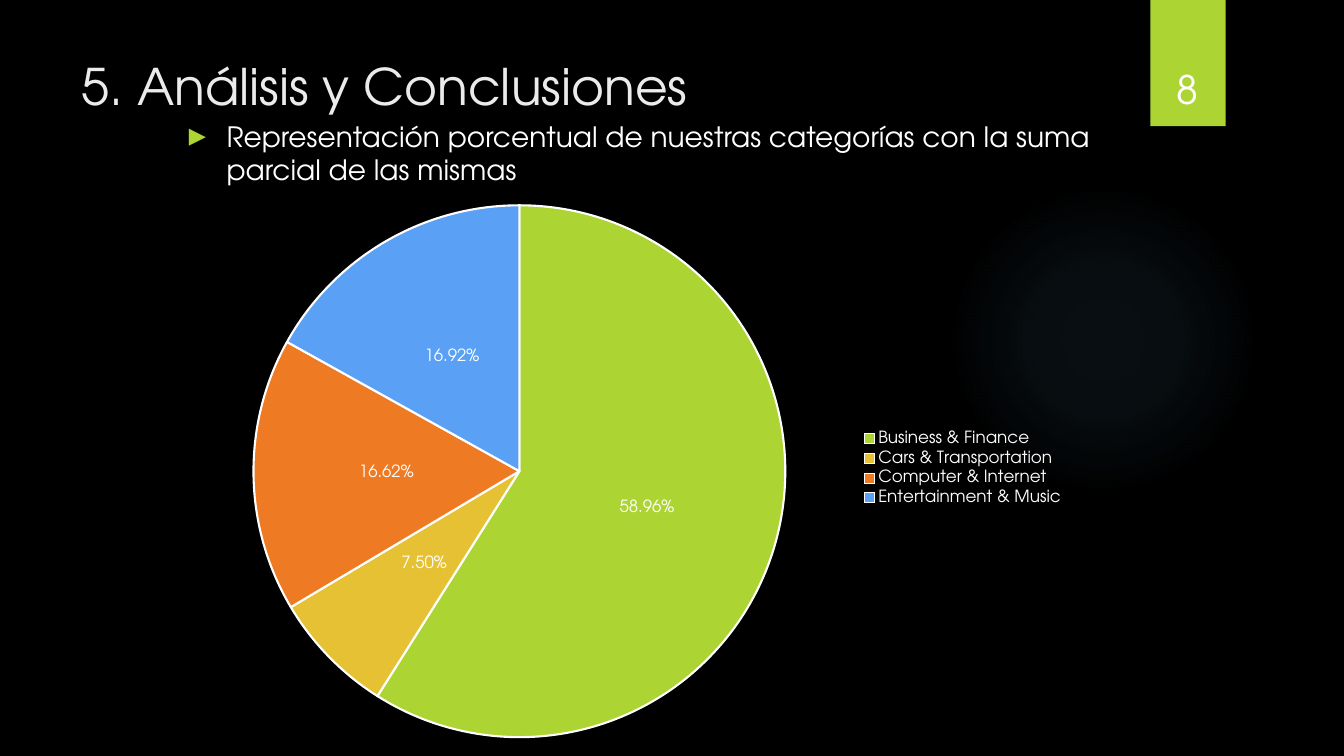
from lxml import etree
from pptx import Presentation
from pptx.chart.data import CategoryChartData
from pptx.dml.color import RGBColor
from pptx.enum.chart import XL_CHART_TYPE, XL_LABEL_POSITION, XL_LEGEND_POSITION
from pptx.enum.shapes import MSO_SHAPE
from pptx.enum.text import MSO_ANCHOR, PP_ALIGN
from pptx.oxml import parse_xml
from pptx.oxml.ns import nsdecls, qn
from pptx.util import Cm, Pt

FONT = "TeX Gyre Adventor"
COLORS = {
    "background": "000000", "title": "EBEBEB", "white": "FFFFFF", "glow": "7AC4F0",
    "green": "ACD433", "yellow": "E6C133", "orange": "EF7A24", "blue": "5AA0F5",
}
CATEGORIES = [
    ("Business & Finance", 0.5896, "green"),
    ("Cars & Transportation", 0.075, "yellow"),
    ("Computer & Internet", 0.1662, "orange"),
    ("Entertainment & Music", 0.1692, "blue"),
]


def rgb(name):
    return RGBColor.from_string(COLORS[name])


def set_font(font, size, color):
    font.name = FONT
    font.size = Pt(size)
    font.color.rgb = rgb(color)


def add_block(s, shape, box, color):
    sp = s.shapes.add_shape(shape, *map(Cm, box))
    sp.shadow.inherit = False
    sp.line.fill.background()
    sp.fill.solid()
    sp.fill.fore_color.rgb = rgb(color)
    return sp


def add_glow(s, box):
    sp = add_block(s, MSO_SHAPE.OVAL, box, "glow")
    stops = "".join(
        f'<a:gs pos="{pos * 1000}"><a:srgbClr val="{COLORS["glow"]}">'
        f'<a:alpha val="{alpha * 1000}"/></a:srgbClr></a:gs>'
        for pos, alpha in ((0, 7), (36, 6), (69, 0)))
    gradient = parse_xml(
        f'<a:gradFill {nsdecls("a")} rotWithShape="1"><a:gsLst>{stops}</a:gsLst>'
        '<a:path path="circle"><a:fillToRect l="50000" t="50000" r="50000" b="50000"/>'
        '</a:path></a:gradFill>')
    props = sp.fill._xPr
    props.replace(props.find(qn("a:solidFill")), gradient)


def add_text(s, box, text, size, color, anchor=MSO_ANCHOR.TOP, align=PP_ALIGN.LEFT):
    tf = s.shapes.add_textbox(*map(Cm, box)).text_frame
    tf.word_wrap = True
    tf.vertical_anchor = anchor
    p = tf.paragraphs[0]
    p.alignment = align
    r = p.add_run()
    r.text = text
    set_font(r.font, size, color)
    return p


def add_bullet(p, color):
    props = p._p.get_or_add_pPr()
    props.set("marL", str(Cm(0.95)))
    props.set("indent", str(Cm(-0.95)))
    bullet_color = etree.SubElement(props, qn("a:buClr"))
    etree.SubElement(bullet_color, qn("a:srgbClr"), val=COLORS[color])
    etree.SubElement(props, qn("a:buSzPct"), val="80000")
    etree.SubElement(props, qn("a:buFont"), typeface="DejaVu Sans")
    etree.SubElement(props, qn("a:buChar"), char="▶")


def add_pie(s, box):
    data = CategoryChartData(number_format="0.00%")
    data.categories = [name for name, _, _ in CATEGORIES]
    data.add_series("Series 1", [value for _, value, _ in CATEGORIES])
    chart = s.shapes.add_chart(XL_CHART_TYPE.PIE, *map(Cm, box), data).chart
    chart.has_title = False
    set_font(chart.font, 10, "white")

    # Legend
    chart.has_legend = True
    chart.legend.position = XL_LEGEND_POSITION.RIGHT
    chart.legend.include_in_layout = False
    set_font(chart.legend.font, 12, "white")

    # Slices
    plot = chart.plots[0]
    plot.vary_by_categories = True
    for i, (_, _, color) in enumerate(CATEGORIES):
        slice_format = plot.series[0].points[i].format
        slice_format.fill.solid()
        slice_format.fill.fore_color.rgb = rgb(color)
        slice_format.line.color.rgb = rgb("white")
        slice_format.line.width = Pt(1.5)

    # Value labels
    plot.has_data_labels = True
    labels = plot.data_labels
    labels.show_value = True
    labels.show_percentage = False
    labels.number_format = "0.00%"
    labels.number_format_is_linked = False
    labels.position = XL_LABEL_POSITION.CENTER
    set_font(labels.font, 12, "white")

    # Plot area, as fractions of the chart
    layout = parse_xml(
        f'<c:layout {nsdecls("c")}><c:manualLayout><c:layoutTarget val="inner"/>'
        '<c:xMode val="edge"/><c:yMode val="edge"/><c:x val="0.08"/><c:y val="0.06"/>'
        '<c:w val="0.6"/><c:h val="0.89"/></c:manualLayout></c:layout>')
    area = chart._chartSpace.chart.plotArea
    for old in area.findall(qn("c:layout")):
        area.remove(old)
    area.insert(0, layout)


def main():
    prs = Presentation()
    prs.slide_width, prs.slide_height = Cm(33.87), Cm(19.05)
    s = prs.slides.add_slide(prs.slide_layouts[6])

    # Background and decoration
    s.background.fill.solid()
    s.background.fill.fore_color.rgb = rgb("background")
    add_glow(s, (23.9, 4.65, 7.82, 7.82))
    add_block(s, MSO_SHAPE.RECTANGLE, (28.99, 0, 1.9, 3.18), "green")

    # Title, subtitle and page number
    add_text(s, (1.8, 1.27, 26.14, 3.89), "5. Análisis y Conclusiones", 36, "title")
    subtitle = add_text(
        s, (4.51, 2.88, 24.84, 11.66),
        "Representación porcentual de nuestras categorías con la suma parcial de las mismas",
        20, "white")
    add_bullet(subtitle, "green")
    add_text(s, (28.75, 0.82, 2.34, 2.13), "8", 28, "white",
             MSO_ANCHOR.BOTTOM, PP_ALIGN.CENTER)

    # Category shares
    add_pie(s, (4.51, 4.27, 22.58, 15.06))
    prs.save("out.pptx")


if __name__ == "__main__":
    main()
